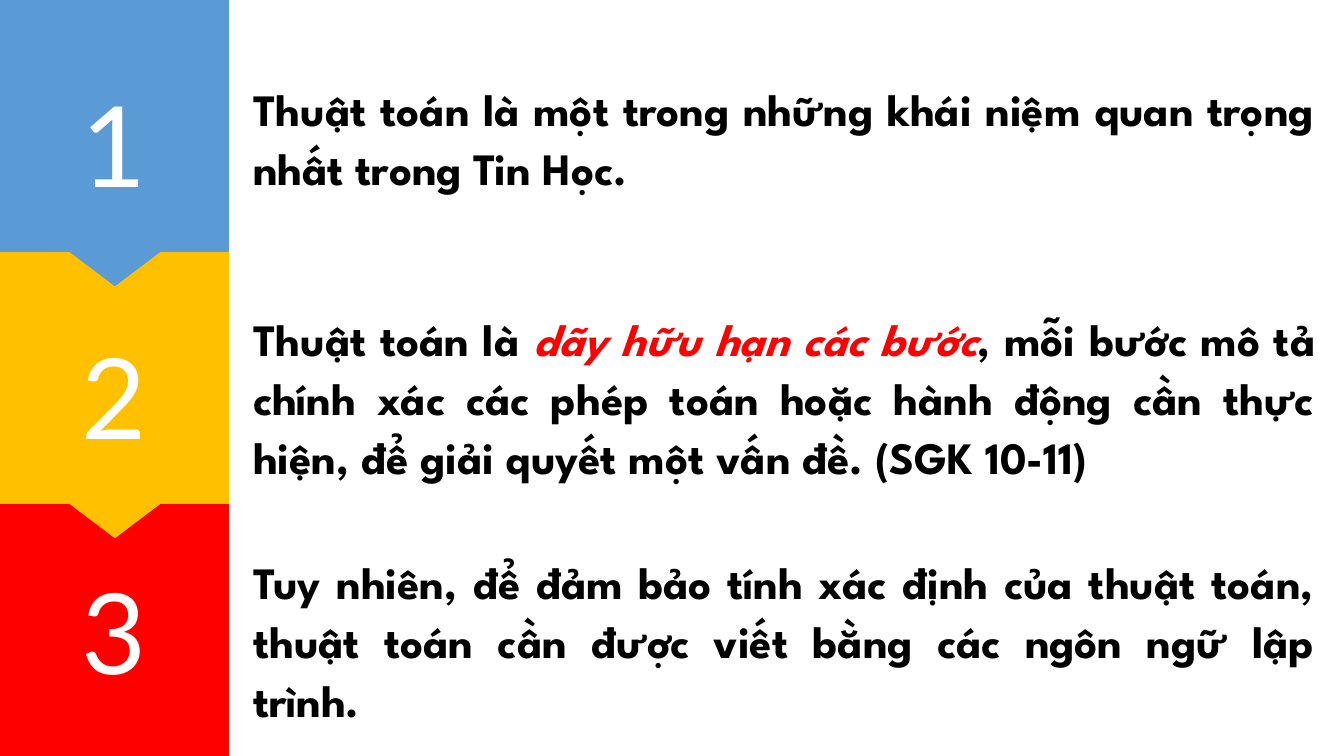
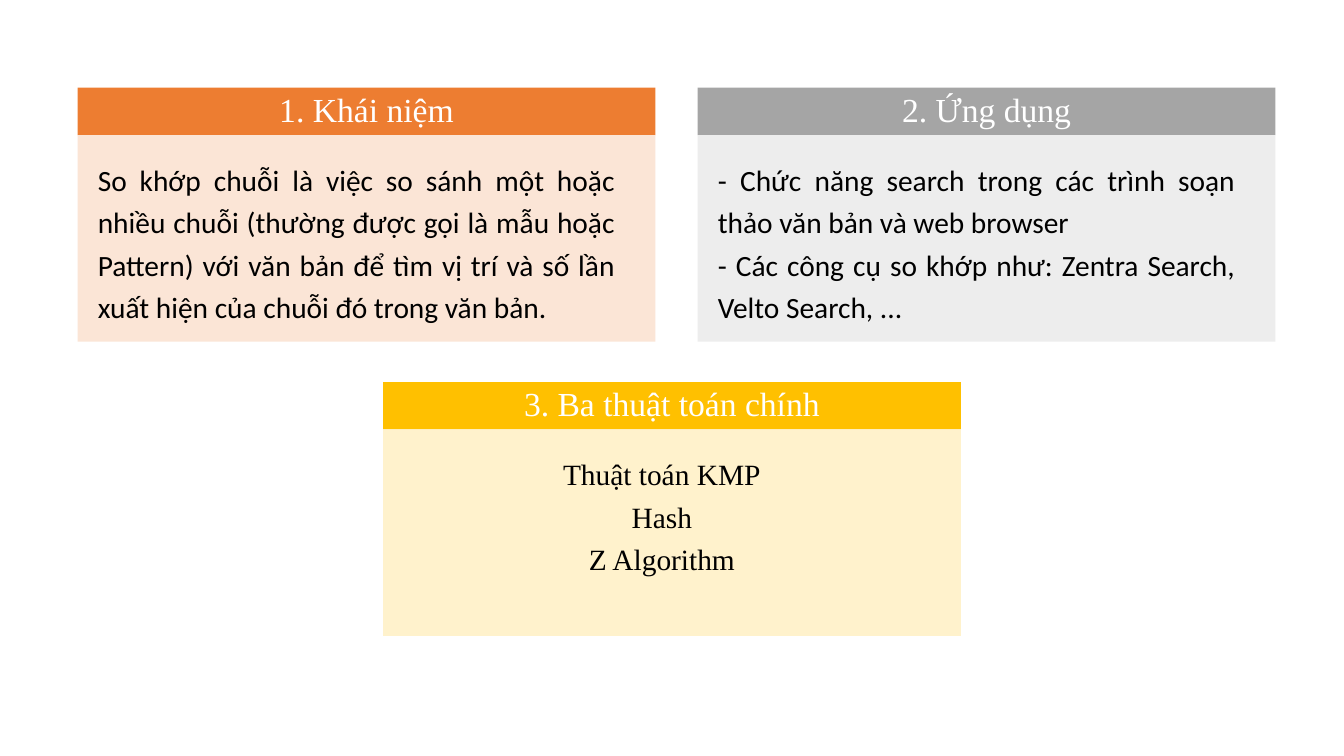
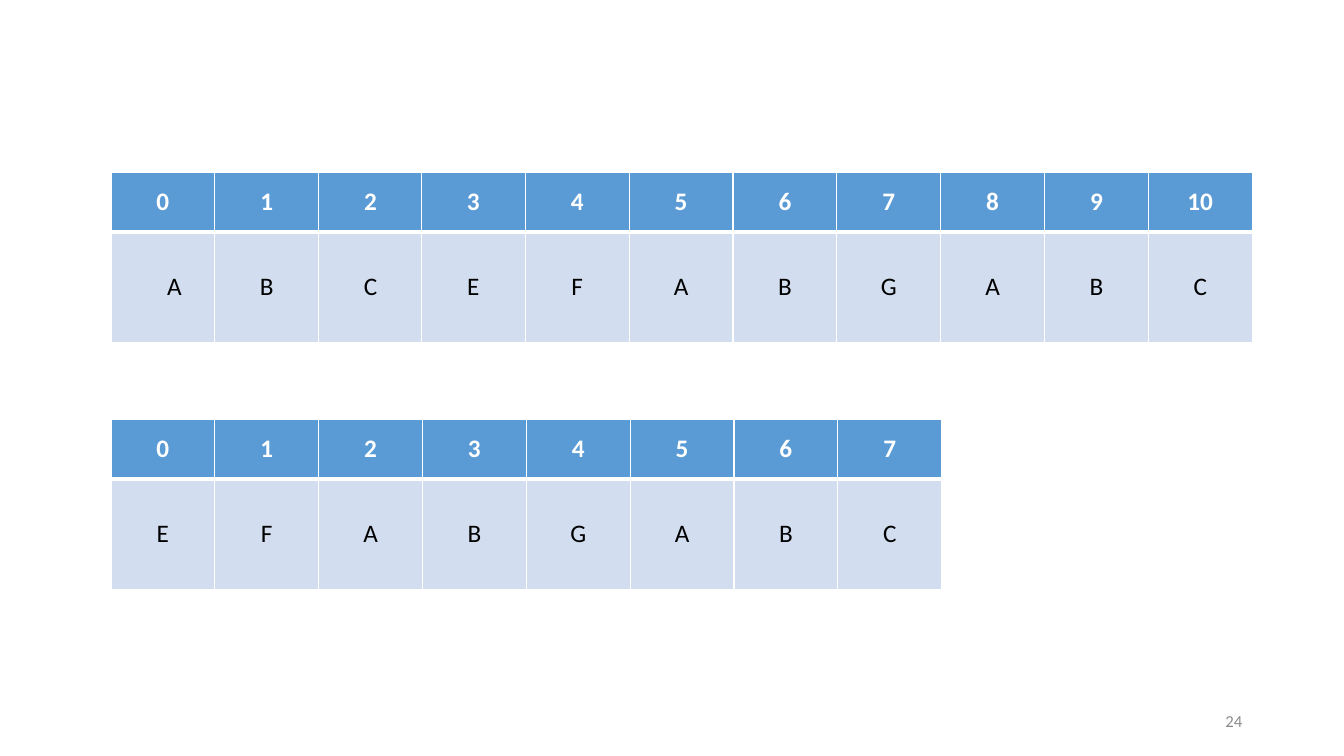
from collections.abc import Sequence
from dataclasses import dataclass
from typing import Any

from lxml.etree import SubElement
from pptx import Presentation
from pptx.dml.color import RGBColor
from pptx.enum.shapes import MSO_SHAPE
from pptx.enum.text import MSO_ANCHOR, PP_ALIGN
from pptx.oxml.ns import qn
from pptx.util import Inches, Pt

COLORS = {
    "blue": "5B9BD5", "gold": "FFC000", "red": "FF0000", "orange": "ED7D31",
    "gray": "A5A5A5", "peach": "FBE5D6", "silver": "EDEDED", "cream": "FFF2CC",
    "pale_blue": "D2DEEF", "footer": "8C8C8C", "white": "FFFFFF", "black": "000000",
}
SIDES = ("left", "top", "right", "bottom")

STEP_W, STEP_H, NOTCH_H = 2.27, 2.5, 0.34
NOTCH_X = (0.69, 1.14, 1.59)
CARD_W, HEAD_H, BODY_H = 5.73, 0.47, 2.05
COL_W, ROW_H = 1.03, (0.59, 1.1)


@dataclass(frozen=True)
class Style:
    font: str
    size: float
    color: str
    bold: bool = False
    align: PP_ALIGN = PP_ALIGN.CENTER
    line_spacing: float = 1.0
    space_before: float = 0


@dataclass(frozen=True)
class Run:
    text: str
    color: str | None = None
    italic: bool = False


@dataclass(frozen=True)
class Step:
    number: int
    color: str
    text_top: float
    runs: tuple[Run, ...]


@dataclass(frozen=True)
class Card:
    left: float
    top: float
    head: str
    head_color: str
    body: tuple[str, ...]
    body_color: str
    body_font: str
    align: PP_ALIGN


@dataclass(frozen=True)
class LetterTable:
    left: float
    top: float
    first: int
    letters: str
    first_indent: float = 0.1


NUMBER = Style("Lato", 80, "white")
STATEMENT = Style("League Spartan", 32, "black", True, PP_ALIGN.JUSTIFY, 1.1, 30)
CARD_HEAD = Style("Times New Roman", 24, "white", line_spacing=0.9)
INDEX = Style("Calibri", 18, "white", True)
LETTER = Style("Calibri", 18, "black")
PAGE = Style("Calibri", 12, "footer", align=PP_ALIGN.RIGHT)

STEPS = (
    Step(1, "blue", 0.36, (
        Run("Thuật toán là một trong những khái niệm quan trọng nhất trong Tin Học."),)),
    Step(2, "gold", 2.93, (
        Run("Thuật toán là "),
        Run("dãy hữu hạn các bước", "red", True),
        Run(", mỗi bước mô tả chính xác các phép toán hoặc hành động cần thực hiện, "
            "để giải quyết một vấn đề. (SGK 10-11)"))),
    Step(3, "red", 5.34, (
        Run("Tuy nhiên, để đảm bảo tính xác định của thuật toán, thuật toán cần được "
            "viết bằng các ngôn ngữ lập trình."),)),
)
CARDS = (
    Card(0.77, 0.87, "1. Khái niệm", "orange", (
        "So khớp chuỗi là việc so sánh một hoặc nhiều chuỗi (thường được gọi là mẫu "
        "hoặc Pattern) với văn bản để tìm vị trí và số lần xuất hiện của chuỗi đó "
        "trong văn bản.",), "peach", "Calibri", PP_ALIGN.JUSTIFY),
    Card(6.92, 0.87, "2. Ứng dụng", "gray", (
        "- Chức năng search trong các trình soạn thảo văn bản và web browser",
        "- Các công cụ so khớp như: Zentra Search, Velto Search, ..."),
        "silver", "Calibri", PP_ALIGN.JUSTIFY),
    Card(3.8, 3.79, "3. Ba thuật toán chính", "gold",
         ("Thuật toán KMP", "Hash", "Z Algorithm"),
         "cream", "Times New Roman", PP_ALIGN.CENTER),
)
TABLES = (
    LetterTable(1.1, 1.71, 0, "ABC", 0.33),
    LetterTable(1.1, 4.16, 0, "EFABGABC"),
    LetterTable(4.18, 1.71, 3, "EFABGABC"),
)


def rgb(name: str) -> RGBColor:
    return RGBColor.from_string(COLORS[name])


def apply(target: Any, values: dict[str, Any]) -> None:
    for name, value in values.items():
        setattr(target, name, value)


def write(tf: Any, paragraphs: Sequence[Sequence[Run]], style: Style) -> None:
    for i, runs in enumerate(paragraphs):
        p = tf.add_paragraph() if i else tf.paragraphs[0]
        apply(p, {"alignment": style.align, "line_spacing": style.line_spacing,
                  "space_before": Pt(style.space_before)})
        for run in runs:
            r = p.add_run()
            r.text = run.text
            apply(r.font, {"name": style.font, "size": Pt(style.size),
                           "bold": style.bold, "italic": run.italic})
            r.font.color.rgb = rgb(run.color or style.color)


def frame(sp: Any, margins: Sequence[float], anchor: MSO_ANCHOR) -> Any:
    tf = sp.text_frame
    apply(tf, {"word_wrap": True, "vertical_anchor": anchor})
    apply(tf, {f"margin_{side}": Inches(m) for side, m in zip(SIDES, margins)})
    return tf


def paint(sp: Any, color: str) -> None:
    sp.shadow.inherit = False
    sp.fill.solid()
    sp.fill.fore_color.rgb = rgb(color)
    sp.line.fill.background()


def add_rect(shapes: Any, box: Sequence[float], color: str) -> Any:
    sp = shapes.add_shape(MSO_SHAPE.RECTANGLE, *map(Inches, box))
    paint(sp, color)
    return sp


def add_text(s: Any, box: Sequence[float], runs: Sequence[Run], style: Style,
             margins: Sequence[float]) -> None:
    sp = s.shapes.add_textbox(*map(Inches, box))
    write(frame(sp, margins, MSO_ANCHOR.MIDDLE), [runs], style)


def add_step(s: Any, step: Step) -> None:
    top = (step.number - 1) * STEP_H
    bottom = top + STEP_H
    if step.number == len(STEPS):
        sp = add_rect(s.shapes, (0, top, STEP_W, STEP_H), step.color)
    else:
        x1, x2, x3 = NOTCH_X
        outline = ((0, bottom), (x1, bottom), (x2, bottom + NOTCH_H),
                   (x3, bottom), (STEP_W, bottom), (STEP_W, top))
        builder = s.shapes.build_freeform(0, Inches(top))
        builder.add_line_segments([(Inches(x), Inches(y)) for x, y in outline], close=True)
        sp = builder.convert_to_shape()
        paint(sp, step.color)
    write(frame(sp, (0,) * 4, MSO_ANCHOR.MIDDLE), [[Run(str(step.number))]], NUMBER)
    add_text(s, (2.51, step.text_top, 10.54, 1.97), step.runs, STATEMENT, (0,) * 4)


def add_card(s: Any, card: Card) -> None:
    shapes = s.shapes.add_group_shape().shapes
    head = add_rect(shapes, (card.left, card.top, CARD_W, HEAD_H), card.head_color)
    write(frame(head, (0.11,) * 4, MSO_ANCHOR.MIDDLE), [[Run(card.head)]], CARD_HEAD)
    body = add_rect(shapes, (card.left, card.top + HEAD_H, CARD_W, BODY_H), card.body_color)
    style = Style(card.body_font, 21, "black", align=card.align, line_spacing=1.2)
    write(frame(body, (0.2, 0.2, 0.4, 0.4), MSO_ANCHOR.TOP),
          [[Run(text)] for text in card.body], style)


def set_borders(cell: Any, widths: dict[str, float]) -> None:
    tc_pr = cell._tc.get_or_add_tcPr()
    for i, (side, width) in enumerate(widths.items()):
        ln = SubElement(tc_pr, qn(f"a:ln{side}"), w=str(Pt(width)))
        fill = SubElement(ln, qn("a:solidFill"))
        SubElement(fill, qn("a:srgbClr"), val=COLORS["white"])
        tc_pr.insert(i, ln)


def add_letter_table(s: Any, spec: LetterTable) -> None:
    n = len(spec.letters)
    table = s.shapes.add_table(2, n, Inches(spec.left), Inches(spec.top),
                               Inches(n * COL_W), Inches(sum(ROW_H))).table
    table.horz_banding = False
    for col in table.columns:
        col.width = Inches(COL_W)
    indices = [str(spec.first + i) for i in range(n)]
    rows = ((indices, "blue", INDEX, {"L": 1, "R": 1, "T": 1, "B": 3}),
            (spec.letters, "pale_blue", LETTER, {"L": 1, "R": 1, "T": 3, "B": 1}))
    for i, (texts, color, style, borders) in enumerate(rows):
        table.rows[i].height = Inches(ROW_H[i])
        for j, text in enumerate(texts):
            cell = table.cell(i, j)
            cell.vertical_anchor = MSO_ANCHOR.MIDDLE
            cell.fill.solid()
            cell.fill.fore_color.rgb = rgb(color)
            set_borders(cell, borders)
            write(cell.text_frame, [[Run(text)]], style)
    table.cell(1, 0).margin_left = Inches(spec.first_indent)


def main() -> None:
    prs = Presentation()
    apply(prs, {"slide_width": Inches(13.33), "slide_height": Inches(7.5)})
    steps, cards, tables = (prs.slides.add_slide(prs.slide_layouts[6]) for _ in range(3))
    for step in reversed(STEPS):
        add_step(steps, step)
    for card in CARDS:
        add_card(cards, card)
    add_text(tables, (9.42, 6.95, 3, 0.4), [Run("24")], PAGE, (0.1, 0.05, 0.1, 0.05))
    for spec in TABLES:
        add_letter_table(tables, spec)
    prs.save("out.pptx")


if __name__ == "__main__":
    main()
